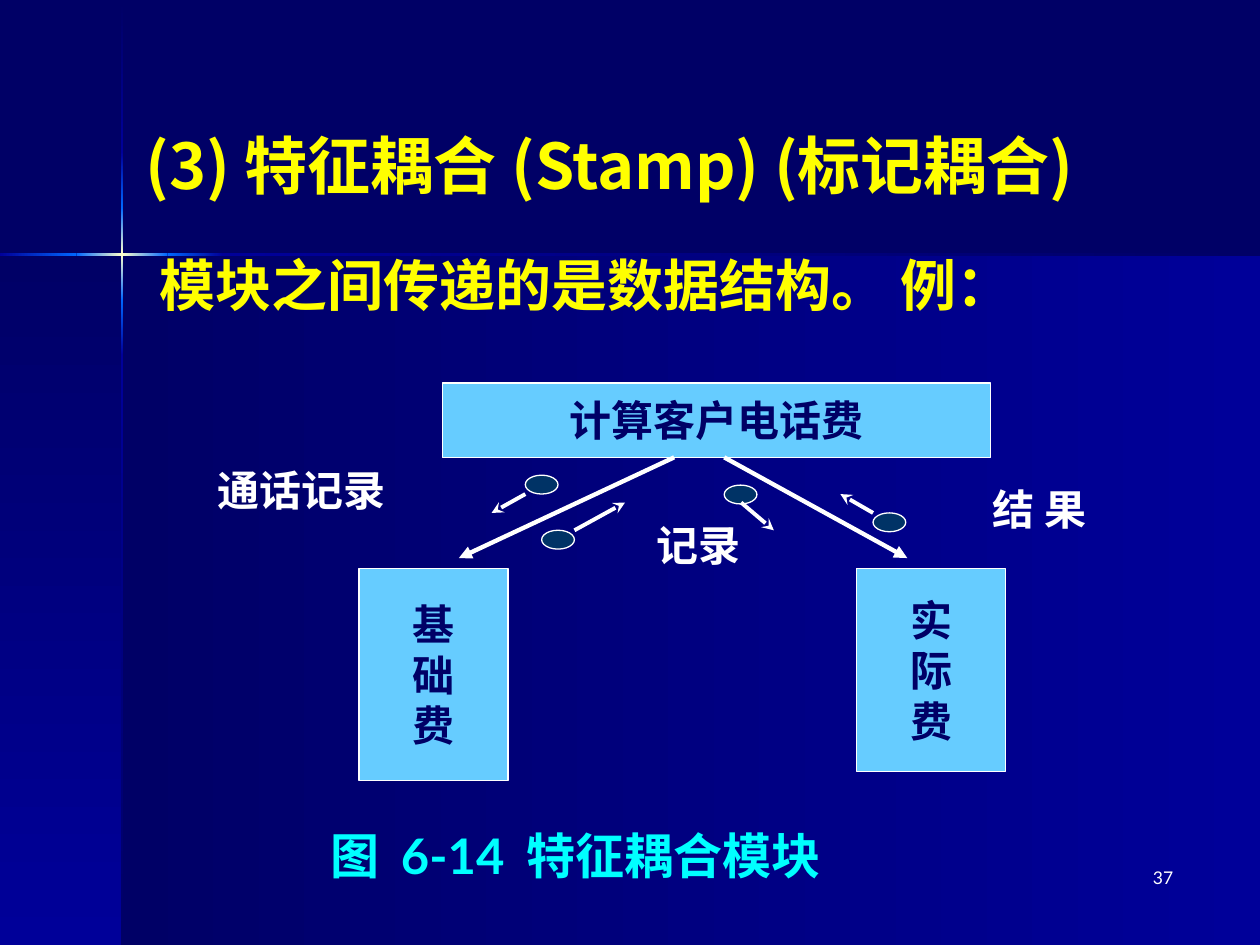
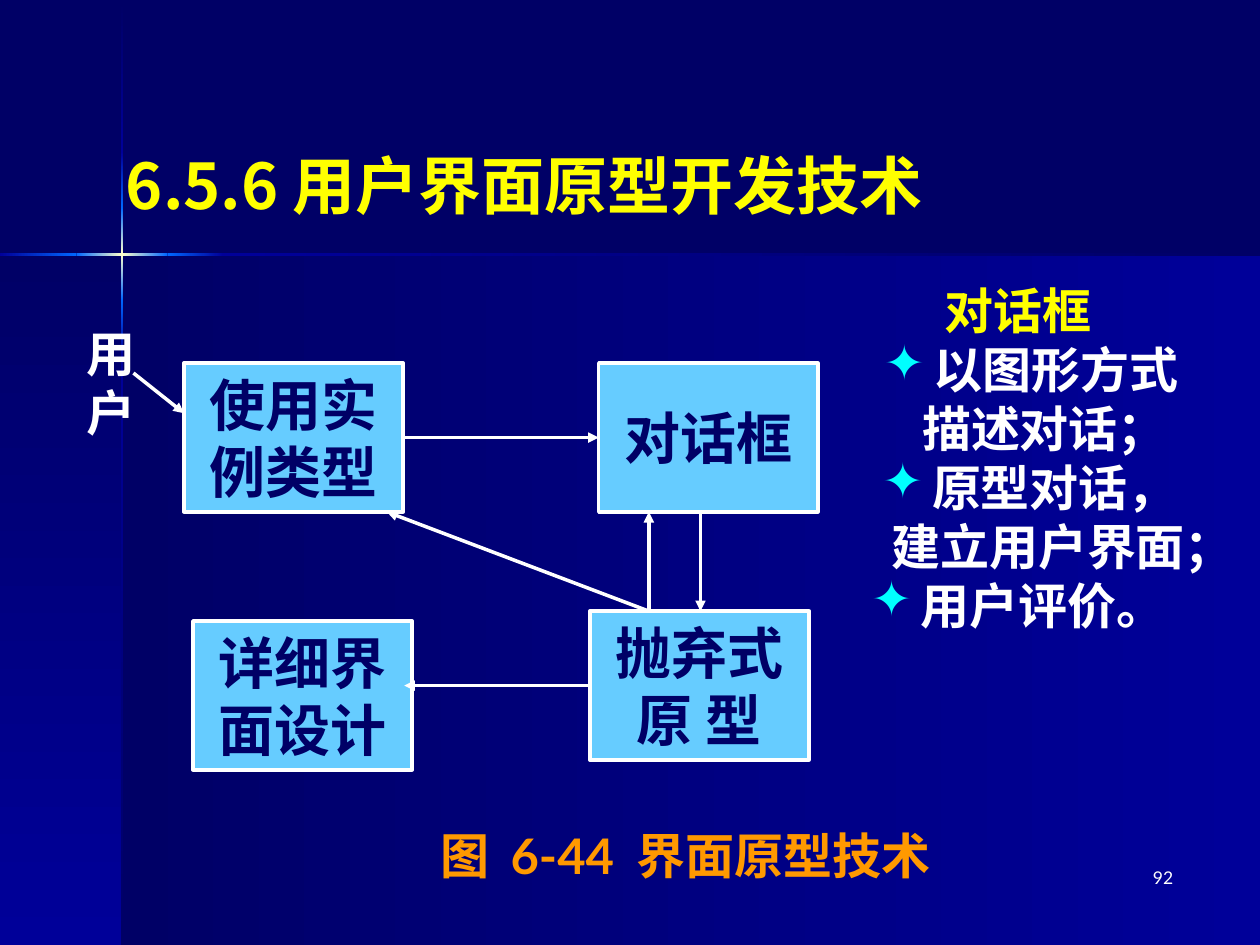
from dataclasses import dataclass
from itertools import pairwise

from lxml.etree import SubElement
from pptx import Presentation
from pptx.dml.color import RGBColor
from pptx.enum.shapes import MSO_CONNECTOR as Connector, MSO_SHAPE as Preset
from pptx.enum.text import MSO_ANCHOR as Anchor, PP_ALIGN as Align
from pptx.oxml import parse_xml
from pptx.oxml.ns import nsdecls, qn
from pptx.util import Cm, Pt


@dataclass(frozen=True)
class Theme:
    deep: str = "000066"
    mid: str = "000099"
    bright: str = "0066FF"
    glow: str = "FFFFCC"
    yellow: str = "FFFF00"
    white: str = "FFFFFF"
    cyan: str = "00FFFF"
    orange: str = "FF9900"
    box: str = "66CCFF"
    token: str = "003366"
    cjk: str = "Noto Sans CJK SC"
    latin: str = "Lato"
    title_size: int = 36
    large_size: int = 32
    caption_size: int = 28
    label_size: int = 24
    page_size: int = 10
    caption_gap: int = 600


THEME = Theme()
WIDTH, HEIGHT = 25.4, 19.05
PANEL_LEFT, PANEL_TOP = 2.46, 5.13
LINE_WIDTH = 0.05
VERTICAL_STOPS = [0.03, 3.07, 4.19, 6.05, 7.16, HEIGHT]
VERTICAL_COLOURS = [
    (THEME.deep, THEME.mid),
    (THEME.mid, THEME.bright),
    (THEME.bright, THEME.glow, THEME.bright),
    (THEME.bright, THEME.mid),
    (THEME.mid, THEME.deep),
]
HORIZONTAL_STOPS = [0, 1.54, 3.38, 4.5, WIDTH]
HORIZONTAL_COLOURS = VERTICAL_COLOURS[1:]
PAGE_BOX = (18.62, 17.35, 5.28, 1.27)

STAMP = {
    "title": ("(3) 特征耦合 (Stamp) (标记耦合)", (2.69, 1.32, 20.96, 3.99)),
    "body": ("模块之间传递的是数据结构。 例：", (2.97, 4.93, 20.96, 1.8)),
    "modules": [
        ("计算客户电话费", (8.92, 7.72, 11.05, 1.5)),
        ("基\n础\n费", (7.24, 11.46, 3, 4.27)),
        ("实\n际\n费", (17.27, 11.46, 3, 4.09)),
    ],
    "calls": [
        ((13.59, 9.22), (9.25, 11.25)),
        ((14.6, 9.22), (18.29, 11.25)),
    ],
    "tokens": [(10.59, 9.58), (10.92, 10.69), (14.6, 9.78), (17.6, 10.34)],
    "flows": [
        ((10.59, 9.96), (9.91, 10.34)),
        ((11.58, 10.69), (12.6, 10.13)),
        ((14.94, 10.13), (15.6, 10.69)),
        ((17.6, 10.34), (16.94, 9.96)),
    ],
    "labels": [
        ("通话记录", (2.9, 9.4, 6.35, 0.94)),
        ("记录", (12.07, 10.34, 4.01, 1.3)),
        ("结 果", (18.62, 9.78, 4.67, 0.94)),
    ],
    "caption": ("图 6-14 特征耦合模块", (2.9, 16.13, 17.4, 2.21)),
    "page": "37",
}

PROTOTYPE = {
    "title": ("6.5.6 用户界面原型开发技术", (2.29, 1.73, 21.16, 3.99)),
    "step_size": (4.42, 3),
    "steps": {
        "use case": ("使用实\n例类型", (3.71, 7.32)),
        "design": ("详细界\n面设计", (3.89, 12.52)),
        "throwaway": ("抛弃式\n原 型", (11.89, 12.32)),
        "dialog": ("对话框", (12.07, 7.32)),
    },
    "arrows": [
        ((2.69, 7.52), (3.71, 8.33)),
        ((13.08, 12.32), (7.8, 10.32)),
        ((13.08, 12.32), (13.08, 10.32)),
        ((14.12, 10.32), (14.12, 12.32)),
    ],
    "user": ("用\n户", (1.5, 6.32, 1.19, 2.79)),
    "caption": ("图 6-44 界面原型技术", (6.71, 16.33, 14.2, 1.8)),
    "notes_box": (15.29, 5.54, 10.1, 8.56),
    "notes": [
        ("对话框", 3.5, False),
        ("以图形方式", 3.28, True),
        ("描述对话；", 3.05, False),
        ("原型对话，", 3.25, True),
        ("建立用户界面；", 2.43, False),
        ("用户评价。", 3.02, True),
    ],
    "bullet_hang": 1,
    "page": "92",
}


def rgb(colour):
    return RGBColor.from_string(colour)


def style_text(text_frame, size, colour, font=THEME.latin, bold=True, align=Align.LEFT):
    for paragraph in text_frame.paragraphs:
        paragraph.alignment = align
        for run in paragraph.runs:
            run.font.size = Pt(size)
            run.font.bold = bold
            run.font.name = font
            run.font.color.rgb = rgb(colour)
            properties = run.font._element
            SubElement(properties, qn("a:ea")).set("typeface", THEME.cjk)


def add_text(slide, text, box, size, colour, anchor=Anchor.TOP, wrap=True, **style):
    shape = slide.shapes.add_textbox(*map(Cm, box))
    text_frame = shape.text_frame
    text_frame.text = text
    text_frame.word_wrap = wrap
    text_frame.vertical_anchor = anchor
    style_text(text_frame, size, colour, **style)
    return shape


def add_label(slide, text, box, size, colour=THEME.white):
    return add_text(slide, text, box, size, colour, Anchor.MIDDLE, False, align=Align.CENTER)


def add_caption(slide, text, box, colour):
    shape = add_label(slide, "", box, THEME.caption_size, colour)
    paragraph = shape.text_frame.paragraphs[0]
    for index, part in enumerate(text.split()):
        if index:
            gap = paragraph.add_run()
            gap.text = " "
            gap.font._element.set("spc", str(THEME.caption_gap))
        paragraph.add_run().text = part
    style_text(shape.text_frame, THEME.caption_size, colour, align=Align.CENTER)


def add_solid(slide, preset, box, fill, line_width):
    shape = slide.shapes.add_shape(preset, *map(Cm, box))
    shape.shadow.inherit = False
    shape.fill.solid()
    shape.fill.fore_color.rgb = rgb(fill)
    shape.line.color.rgb = rgb(THEME.white)
    shape.line.width = Pt(line_width)
    return shape


def add_module(slide, text, box, size, line_width):
    shape = add_solid(slide, Preset.RECTANGLE, box, THEME.box, line_width)
    text_frame = shape.text_frame
    text_frame.text = text
    text_frame.word_wrap = False
    text_frame.vertical_anchor = Anchor.MIDDLE
    style_text(text_frame, size, THEME.deep, align=Align.CENTER)
    return shape


def add_arrow(slide, start, end, width, head="triangle"):
    connector = slide.shapes.add_connector(Connector.STRAIGHT, *map(Cm, (*start, *end)))
    connector.line.color.rgb = rgb(THEME.white)
    connector.line.width = Pt(width)
    SubElement(connector.line._get_or_add_ln(), qn("a:tailEnd")).set("type", head)
    SubElement(connector._element.spPr, qn("a:effectLst"))
    return connector


def add_band(slide, box, colours, angle):
    shape = slide.shapes.add_shape(Preset.RECTANGLE, *map(Cm, box))
    shape.shadow.inherit = False
    shape.line.fill.background()
    last = len(colours) - 1
    stops = "".join(
        f'<a:gs pos="{100000 * index // last}"><a:srgbClr val="{colour}"/></a:gs>'
        for index, colour in enumerate(colours)
    )
    gradient = parse_xml(
        f'<a:gradFill {nsdecls("a")} rotWithShape="1"><a:gsLst>{stops}</a:gsLst>'
        f'<a:lin ang="{angle * 60000}" scaled="0"/></a:gradFill>'
    )
    shape._element.spPr.find(qn("a:prstGeom")).addnext(gradient)


def add_base(presentation, content):
    slide = presentation.slides.add_slide(presentation.slide_layouts[6])
    slide.background.fill.solid()
    slide.background.fill.fore_color.rgb = rgb(THEME.deep)
    shades = (THEME.deep, THEME.mid)
    panel_height = HEIGHT - PANEL_TOP
    add_band(slide, (PANEL_LEFT, PANEL_TOP, WIDTH - PANEL_LEFT, panel_height), shades, 0)
    add_band(slide, (0, PANEL_TOP, PANEL_LEFT, panel_height), shades, 90)
    line_left, line_top = PANEL_LEFT - LINE_WIDTH / 2, PANEL_TOP - LINE_WIDTH / 2
    for (top, bottom), colours in zip(pairwise(VERTICAL_STOPS), VERTICAL_COLOURS):
        add_band(slide, (line_left, top, LINE_WIDTH, bottom - top), colours, 90)
    for (left, right), colours in zip(pairwise(HORIZONTAL_STOPS), HORIZONTAL_COLOURS):
        add_band(slide, (left, line_top, right - left, LINE_WIDTH), colours, 0)
    add_text(slide, *content["title"], THEME.title_size, THEME.yellow,
             Anchor.MIDDLE, font=THEME.cjk)
    add_text(slide, content["page"], PAGE_BOX, THEME.page_size, THEME.white,
             bold=False, align=Align.RIGHT)
    return slide


def build_stamp(presentation):
    slide = add_base(presentation, STAMP)
    add_text(slide, *STAMP["body"], THEME.large_size, THEME.yellow, font=THEME.cjk)
    for text, box in STAMP["modules"]:
        add_module(slide, text, box, THEME.label_size, 0.75)
    for start, end in STAMP["calls"]:
        add_arrow(slide, start, end, 2.5)
    for left, top in STAMP["tokens"]:
        add_solid(slide, Preset.OVAL, (left, top, 0.66, 0.38), THEME.token, 0.75)
    for start, end in STAMP["flows"]:
        add_arrow(slide, start, end, 2.25, "stealth")
    for text, box in STAMP["labels"]:
        add_label(slide, text, box, THEME.label_size)
    add_caption(slide, *STAMP["caption"], THEME.cyan)


def add_notes(slide):
    lines = PROTOTYPE["notes"]
    shape = add_text(slide, "\n".join(text for text, _, _ in lines), PROTOTYPE["notes_box"],
                     THEME.caption_size, THEME.white, font=THEME.cjk)
    paragraphs = shape.text_frame.paragraphs
    paragraphs[0].runs[0].font.color.rgb = rgb(THEME.yellow)
    for paragraph, (_, indent, bulleted) in zip(paragraphs, lines):
        properties = paragraph._element.get_or_add_pPr()
        properties.set("marL", str(Cm(indent)))
        properties.set("indent", str(-Cm(PROTOTYPE["bullet_hang"]) if bulleted else 0))
        if bulleted:
            bullet_colour = SubElement(properties, qn("a:buClr"))
            SubElement(bullet_colour, qn("a:srgbClr")).set("val", THEME.cyan)
            SubElement(properties, qn("a:buChar")).set("char", "✦")


def build_prototype(presentation):
    slide = add_base(presentation, PROTOTYPE)
    steps = {
        name: add_module(slide, text, (*corner, *PROTOTYPE["step_size"]), THEME.large_size, 2)
        for name, (text, corner) in PROTOTYPE["steps"].items()
    }
    for start, end in PROTOTYPE["arrows"]:
        add_arrow(slide, start, end, 2)
    to_dialog = add_arrow(slide, (8.13, 8.82), (12.07, 8.82), 2)
    to_dialog.begin_connect(steps["use case"], 3)
    to_dialog.end_connect(steps["dialog"], 1)
    to_design = add_arrow(slide, (11.89, 13.82), (8.15, 13.82), 2)
    to_design.begin_connect(steps["throwaway"], 1)
    add_label(slide, *PROTOTYPE["user"], THEME.caption_size)
    add_caption(slide, *PROTOTYPE["caption"], THEME.orange)
    add_notes(slide)


def main():
    presentation = Presentation()
    presentation.slide_width, presentation.slide_height = Cm(WIDTH), Cm(HEIGHT)
    build_stamp(presentation)
    build_prototype(presentation)
    presentation.save("out.pptx")


if __name__ == "__main__":
    main()
